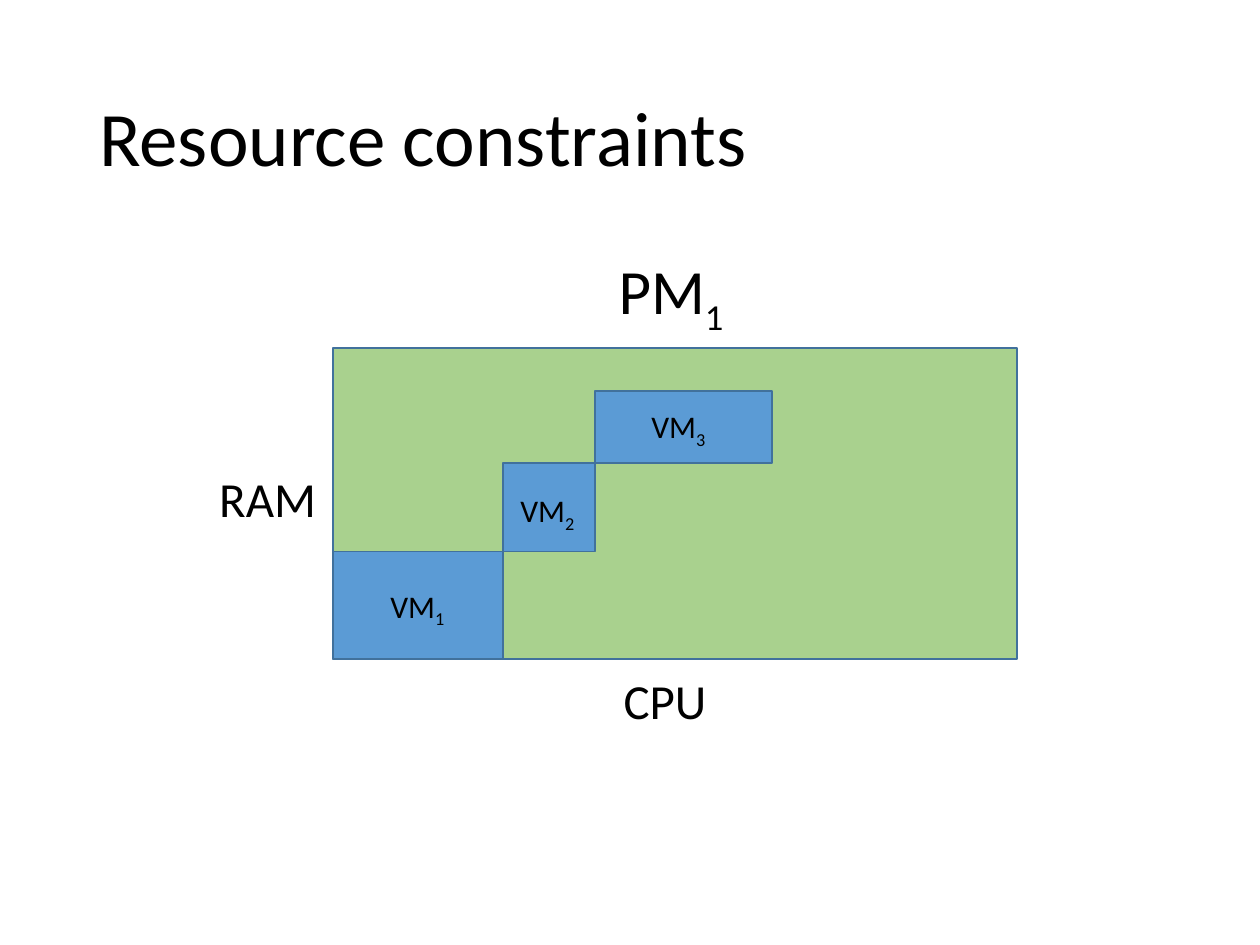
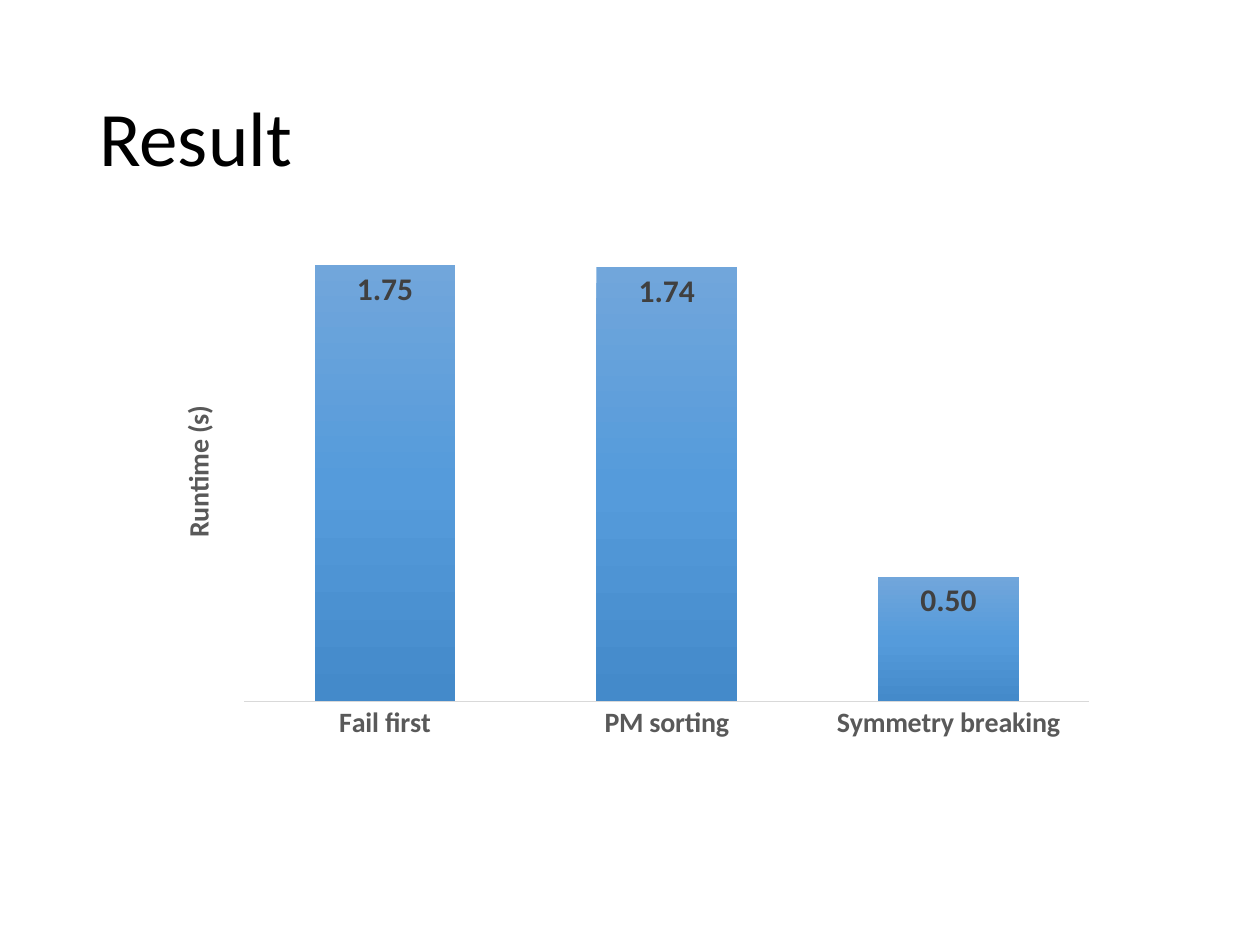
from copy import deepcopy
from lxml import etree
from pptx import Presentation
from pptx.chart.data import CategoryChartData
from pptx.dml.color import RGBColor
from pptx.enum.chart import XL_CHART_TYPE as ChartType
from pptx.enum.chart import XL_LABEL_POSITION as LabelPosition
from pptx.enum.chart import XL_TICK_MARK as TickMark
from pptx.enum.shapes import MSO_SHAPE as Shape
from pptx.enum.text import MSO_ANCHOR as Anchor
from pptx.oxml.ns import qn
from pptx.util import Cm, Pt

COLORS = {
    "text": "000000",
    "machine": "A9D18E",
    "guest": "5B9BD5",
    "outline": "41719C",
    "axis_text": "595959",
    "axis_line": "D9D9D9",
    "label": "404040",
}
BAR_GRADIENT = [(0, "71A6DB"), (0.5, "559BDB"), (1, "448ACA")]
PLOT_LAYOUT = {"xMode": "edge", "yMode": "edge", "x": 0.097, "y": 0.02, "w": 0.883, "h": 0.89}


class SlideWriter:
    """Hold the shared style and draw elements on the current slide."""

    font_name = "Calibri"

    def __init__(self):
        self.deck = Presentation()
        self.deck.slide_width, self.deck.slide_height = Cm(25.4), Cm(19.05)
        self.page = None

    def start_page(self, title):
        self.page = self.deck.slides.add_slide(self.deck.slide_layouts[6])
        box = self.text(1.75, 1.02, 21.9, 3.68, title, 44)
        box.text_frame.vertical_anchor = Anchor.MIDDLE
        box.text_frame.paragraphs[0].line_spacing = 0.9

    def style(self, font, size, color="text", bold=False):
        font.name, font.size, font.bold = self.font_name, Pt(size), bold
        font.color.rgb = RGBColor.from_string(COLORS[color])

    def text(self, left, top, width, height, words, size, subscript="", shapes=None):
        shapes = shapes or self.page.shapes
        box = shapes.add_textbox(Cm(left), Cm(top), Cm(width), Cm(height))
        box.text_frame.word_wrap = True
        para = box.text_frame.paragraphs[0]
        for part, baseline in ((words, None), (subscript, "-25000")):
            if part:
                span = para.add_run()
                span.text = part
                self.style(span.font, size)
                if baseline:
                    span._r.get_or_add_rPr().set("baseline", baseline)
        return box

    def block(self, left, top, width, height, color, shapes=None):
        shapes = shapes or self.page.shapes
        block = shapes.add_shape(Shape.RECTANGLE, Cm(left), Cm(top), Cm(width), Cm(height))
        block.shadow.inherit = False
        block.fill.solid()
        block.fill.fore_color.rgb = RGBColor.from_string(COLORS[color])
        block.line.color.rgb = RGBColor.from_string(COLORS["outline"])
        block.line.width = Pt(1)

    def guest(self, left, top, width, height, number, label_shift):
        shapes = self.page.shapes.add_group_shape().shapes
        self.block(left, top, width, height, "guest", shapes)
        across, down = label_shift
        self.text(left + across, top + down, 1.8, 1.02, "VM", 18, number, shapes)

    def column_chart(self, left, top, width, height, values, axis_title):
        data = CategoryChartData(number_format="#,##0.00")
        data.categories = list(values)
        data.add_series("Series 1", list(values.values()))
        chart = self.page.shapes.add_chart(
            ChartType.COLUMN_CLUSTERED, Cm(left), Cm(top), Cm(width), Cm(height), data
        ).chart
        chart.has_title = chart.has_legend = False
        self.style(chart.font, 10)
        self.chart_axes(chart, axis_title)
        plot = chart.plots[0]
        plot.vary_by_categories = False
        plot.gap_width, plot.overlap = 100, -24
        self.gradient(plot.series[0])
        plot.has_data_labels = True
        labels = plot.data_labels
        labels.show_value = True
        labels.position = LabelPosition.INSIDE_END
        labels.number_format, labels.number_format_is_linked = "#,##0.00", False
        self.style(labels.font, 18, "label", True)
        self.plot_layout(chart)

    def chart_axes(self, chart, axis_title):
        categories, amounts = chart.category_axis, chart.value_axis
        categories.major_tick_mark = categories.minor_tick_mark = TickMark.NONE
        categories.format.line.color.rgb = RGBColor.from_string(COLORS["axis_line"])
        categories.format.line.width = Pt(1)
        self.style(categories.tick_labels.font, 16, "axis_text", True)
        amounts.visible = amounts.has_major_gridlines = False
        amounts.minimum_scale, amounts.maximum_scale = 0, 2
        span = amounts.axis_title.text_frame.paragraphs[0].add_run()
        span.text = axis_title
        self.style(span.font, 16, "axis_text", True)
        amounts.axis_title.text_frame._txBody.bodyPr.set("rot", "-5400000")

    def gradient(self, series):
        fill = series.format.fill
        fill.gradient()
        fill.gradient_angle = 270
        stop_list = series._element.find(".//" + qn("a:gsLst"))
        stop_list.append(deepcopy(stop_list[0]))
        for stop, (position, color) in zip(fill.gradient_stops, BAR_GRADIENT):
            stop.position = position
            stop.color.rgb = RGBColor.from_string(color)

    def plot_layout(self, chart):
        area = chart._chartSpace.find(".//" + qn("c:plotArea"))
        for old in area.findall(qn("c:layout")):
            area.remove(old)
        layout = etree.Element(qn("c:layout"))
        manual = etree.SubElement(layout, qn("c:manualLayout"))
        for name, value in {"layoutTarget": "inner", **PLOT_LAYOUT}.items():
            etree.SubElement(manual, qn("c:" + name)).set("val", str(value))
        area.insert(0, layout)


def resource_page(writer):
    writer.start_page("Resource constraints")
    left, top, width, height = 6.71, 7.01, 13.79, 6.27
    writer.block(left, top, width, height, "machine")
    writer.text(12.22, 4.95, 2.8, 1.8, "PM", 36, "1")
    writer.text(4.17, 9.32, 3.96, 1.45, "RAM", 28)
    writer.text(12.32, 13.39, 2.25, 1.45, "CPU", 28)
    guests = [(3.43, 2.16, (0.91, 0.58)), (1.85, 1.78, (0.1, 0.43)), (3.58, 1.45, (0.89, 0.2))]
    bottom = top + height
    for number, (across, tall, label_shift) in enumerate(guests, 1):
        bottom -= tall
        writer.guest(left, bottom, across, tall, str(number), label_shift)
        left += across


def result_page(writer):
    writer.start_page("Result")
    runtimes = {"Fail first": 1.75, "PM sorting": 1.74, "Symmetry breaking": 0.5}
    writer.column_chart(3.05, 3.86, 19.3, 11.3, runtimes, "Runtime (s)")


writer = SlideWriter()
resource_page(writer)
result_page(writer)
writer.deck.save("out.pptx")
